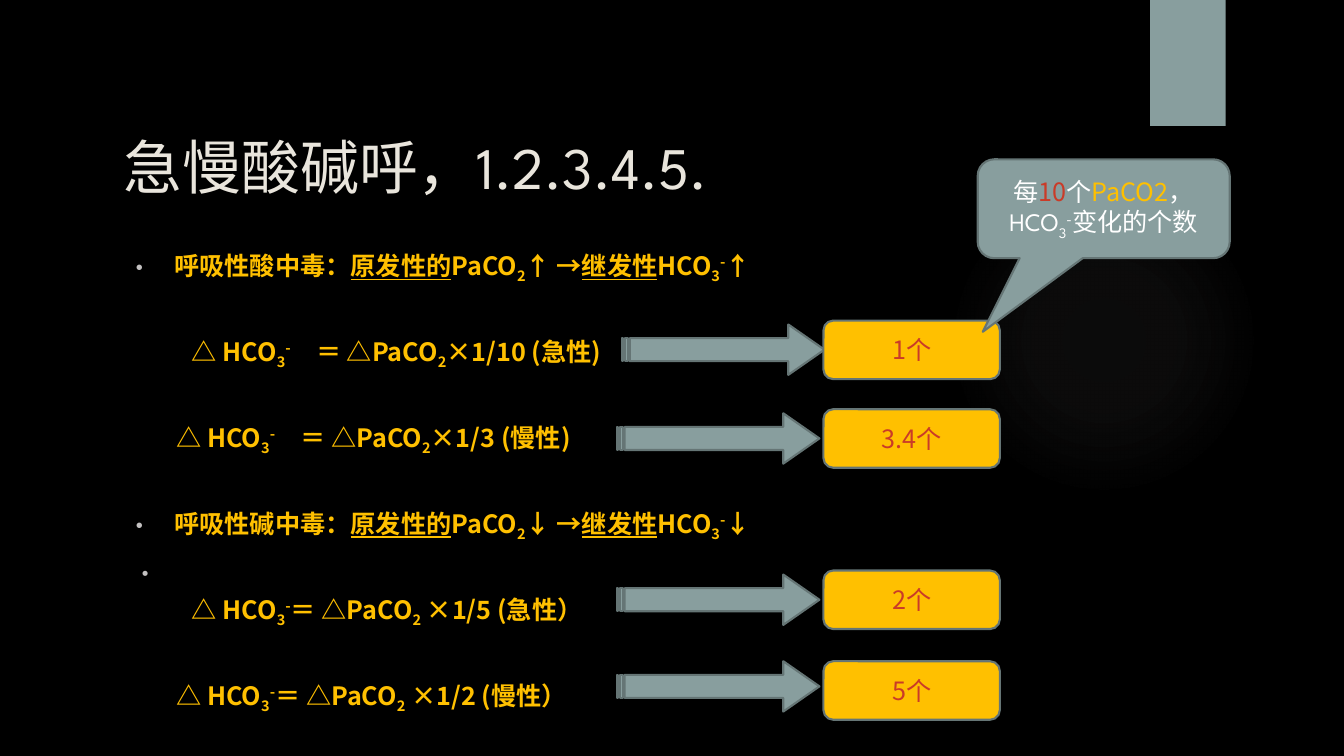
from lxml import etree
from pptx import Presentation
from pptx.dml.color import RGBColor
from pptx.enum.shapes import MSO_SHAPE as Shape
from pptx.enum.text import MSO_ANCHOR as Anchor, PP_ALIGN as Align
from pptx.oxml import parse_xml
from pptx.oxml.ns import qn
from pptx.util import Pt

COLORS = {
    "background": "000000", "title": "E9E5DC", "gold": "FFC000",
    "sage": "889E9E", "outline": "657575", "red": "CA3B28",
    "white": "FFFFFF", "bullet": "C3C1C1", "glow": "A6A1A1",
}
DISPLAY, CJK = "League Spartan", "Noto Sans CJK SC"
DRAWING_NS = "http://schemas.openxmlformats.org/drawingml/2006/main"

# Body text: style of each run is "", "sub", "sup" or "under"
HCO3 = [("HCO", ""), ("3", "sub"), ("-", "sup")]
PACO2 = [("PaCO", ""), ("2", "sub")]
STEP, LINE = 30.7, 22  # distance between half rows, line height


def disorder(name, arrow):
    return [(name + "：", ""), ("原发性的", "under"), *PACO2, (arrow + " →", ""),
            ("继发性", "under"), *HCO3, (arrow, "")]


def formula(gap, ratio):
    return [("△ ", ""), *HCO3, (gap + "＝ △", ""), *PACO2, (ratio, "")]


# (runs, left indent or None for a bullet, half rows below the previous line)
BODY = [
    (disorder("呼吸性酸中毒", "↑"), None, 0),
    (formula("　", "×1/10 (急性)"), 40, 2),
    (formula("　", "×1/3 (慢性)"), 28.8, 2),
    (disorder("呼吸性碱中毒", "↓"), None, 2),
    ([("•", "mark")], 0, 1),
    (formula("", " ×1/5 (急性）"), 40, 1),
    (formula("", " ×1/2 (慢性）"), 28.8, 2),
]

# (label, card top, arrow left, arrow top)
RESULTS = [
    ("1个", 229, 444.2, 231.8),
    ("3.4个", 292.3, 440.6, 295.2),
    ("2个", 407.5, 440.6, 410.4),
    ("5个", 472.3, 440.6, 472.3),
]


def rgb(name):
    return RGBColor.from_string(COLORS[name])


def set_east_asian(run, name=CJK):
    properties = run._r.get_or_add_rPr()
    element = etree.SubElement(properties, qn("a:ea"))
    element.set("typeface", name)
    latin = properties.find(qn("a:latin"))
    if latin is not None:
        latin.addnext(element)


def add_run(paragraph, text, style=""):
    run = paragraph.add_run()
    run.text = text
    if style == "under":
        run.font.underline = True
    elif style in ("sub", "sup"):
        shift = "-25000" if style == "sub" else "30000"
        run._r.get_or_add_rPr().set("baseline", shift)
    elif style == "mark":
        run.font.size = Pt(14.4)
        run.font.color.rgb = rgb("bullet")
    return run


def style_paragraph(paragraph, size, color, font=CJK):
    paragraph.font.size = Pt(size)
    paragraph.font.color.rgb = rgb(color)
    paragraph.font.name = font


def add_block(slide, kind, box, fill, outlined=True):
    shape = slide.shapes.add_shape(kind, *map(Pt, box))
    shape.shadow.inherit = False
    shape.fill.solid()
    shape.fill.fore_color.rgb = rgb(fill)
    if outlined:
        shape.line.color.rgb = rgb("outline")
        shape.line.width = Pt(1.5)
    else:
        shape.line.fill.background()
    return shape


def add_text(slide, box):
    frame = slide.shapes.add_textbox(*map(Pt, box)).text_frame
    frame.word_wrap = True
    return frame


def add_backdrop(slide, glow_box, tab_box):
    slide.background.fill.solid()
    slide.background.fill.fore_color.rgb = rgb("background")
    # Faint round glow
    glow = slide.shapes.add_shape(Shape.OVAL, *map(Pt, glow_box))
    glow.shadow.inherit = False
    glow.line.fill.background()
    stops = "".join(
        f'<a:gs pos="{position * 1000}"><a:srgbClr val="{COLORS["glow"]}">'
        f'<a:alpha val="{alpha * 1000}"/></a:srgbClr></a:gs>'
        for position, alpha in [(0, 7), (36, 6), (69, 0), (100, 0)])
    gradient = parse_xml(
        f'<a:gradFill xmlns:a="{DRAWING_NS}"><a:gsLst>{stops}</a:gsLst>'
        '<a:path path="circle"><a:fillToRect l="50000" t="50000" r="50000" b="50000"/>'
        '</a:path></a:gradFill>')
    glow._element.spPr.find(qn("a:prstGeom")).addnext(gradient)
    # Tab at the top edge
    add_block(slide, Shape.RECTANGLE, tab_box, "sage", outlined=False)


def add_title(slide, box):
    paragraph = add_text(slide, box).paragraphs[0]
    run = add_run(paragraph, "急慢酸碱呼，1.2.3.4.5.")
    set_east_asian(run)
    style_paragraph(paragraph, 42, "title", DISPLAY)


def add_bullet(paragraph):
    properties = paragraph._p.get_or_add_pPr()
    color = etree.SubElement(properties, qn("a:buClr"))
    etree.SubElement(color, qn("a:srgbClr")).set("val", COLORS["bullet"])
    etree.SubElement(properties, qn("a:buSzPct")).set("val", "80000")
    etree.SubElement(properties, qn("a:buFont")).set("typeface", "Arial")
    etree.SubElement(properties, qn("a:buChar")).set("char", "•")
    properties.set("marL", str(Pt(27.4)))
    properties.set("indent", str(Pt(-27.4)))


def add_body(slide, box):
    frame = add_text(slide, box)
    for index, (runs, indent, steps) in enumerate(BODY):
        paragraph = frame.add_paragraph() if index else frame.paragraphs[0]
        paragraph.line_spacing = Pt(LINE)
        if index:
            paragraph.space_before = Pt(round(steps * STEP - LINE, 2))
        if indent is None:
            add_bullet(paragraph)
        else:
            paragraph._p.get_or_add_pPr().set("marL", str(Pt(indent)))
        for text, style in runs:
            set_east_asian(add_run(paragraph, text, style))
        style_paragraph(paragraph, 18, "gold")
        paragraph.font.bold = True


def add_result(slide, label, card_box, arrow_box):
    arrow = add_block(slide, Shape.STRIPED_RIGHT_ARROW, arrow_box, "sage")
    arrow.adjustments[0], arrow.adjustments[1] = 0.457, 0.717
    card = add_block(slide, Shape.FLOWCHART_ALTERNATE_PROCESS, card_box, "gold")
    card.text_frame.vertical_anchor = Anchor.MIDDLE
    paragraph = card.text_frame.paragraphs[0]
    paragraph.alignment = Align.CENTER
    set_east_asian(add_run(paragraph, label))
    style_paragraph(paragraph, 18, "red")


def add_callout(slide, box):
    callout = add_block(slide, Shape.ROUNDED_RECTANGULAR_CALLOUT, box, "sage")
    for index, value in enumerate((-0.48, 1.245, 0.167)):
        callout.adjustments[index] = value
    callout.text_frame.vertical_anchor = Anchor.MIDDLE
    paragraph = callout.text_frame.paragraphs[0]
    paragraph.alignment = Align.CENTER
    parts = [("每", "white", ""), ("10", "red", ""), ("个", "white", ""),
             ("PaCO2", "gold", ""), ("， HCO", "white", ""), ("3", "white", "sub"),
             ("-", "white", "sup"), ("变化的个数", "white", "")]
    for text, color, style in parts:
        run = add_run(paragraph, text, style)
        run.font.size = Pt(18)
        run.font.color.rgb = rgb(color)
        run.font.name = DISPLAY if color == "white" else CJK
        set_east_asian(run)


def main():
    presentation = Presentation()
    presentation.slide_width, presentation.slide_height = Pt(960), Pt(540)
    slide = presentation.slides.add_slide(presentation.slide_layouts[6])
    add_backdrop(slide, (677.5, 131.8, 221.8, 221.8), (821.5, 0, 54, 90))
    add_title(slide, (81.4, 90, 740.9, 110.2))
    add_body(slide, (90, 177.8, 504, 352.8))
    for label, card_top, arrow_left, arrow_top in RESULTS:
        add_result(slide, label, (588.2, card_top, 126, 41.8),
                   (arrow_left, arrow_top, 144.7, 36))
    add_callout(slide, (698.4, 113.8, 180, 70.6))
    presentation.save("out.pptx")


if __name__ == "__main__":
    main()
